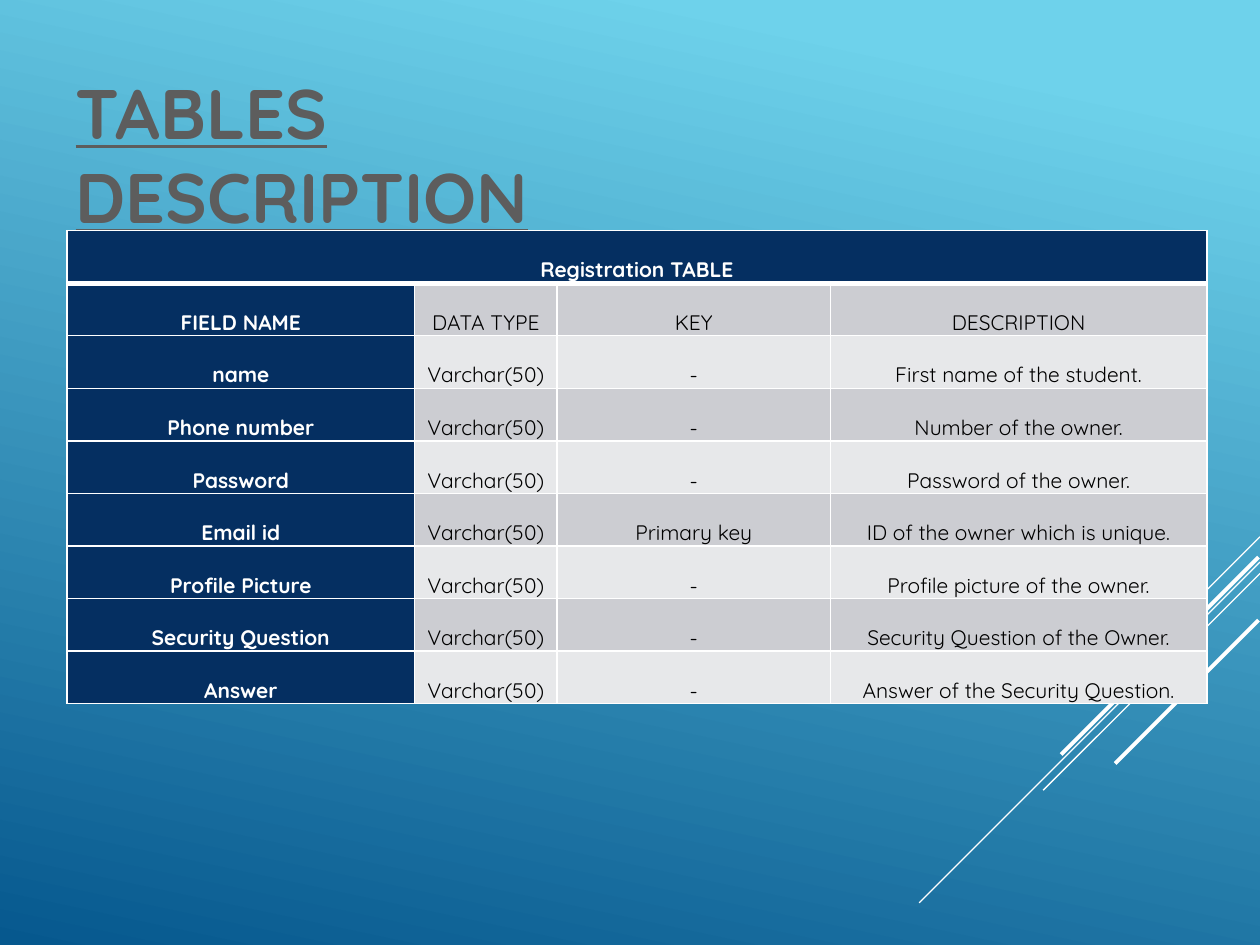
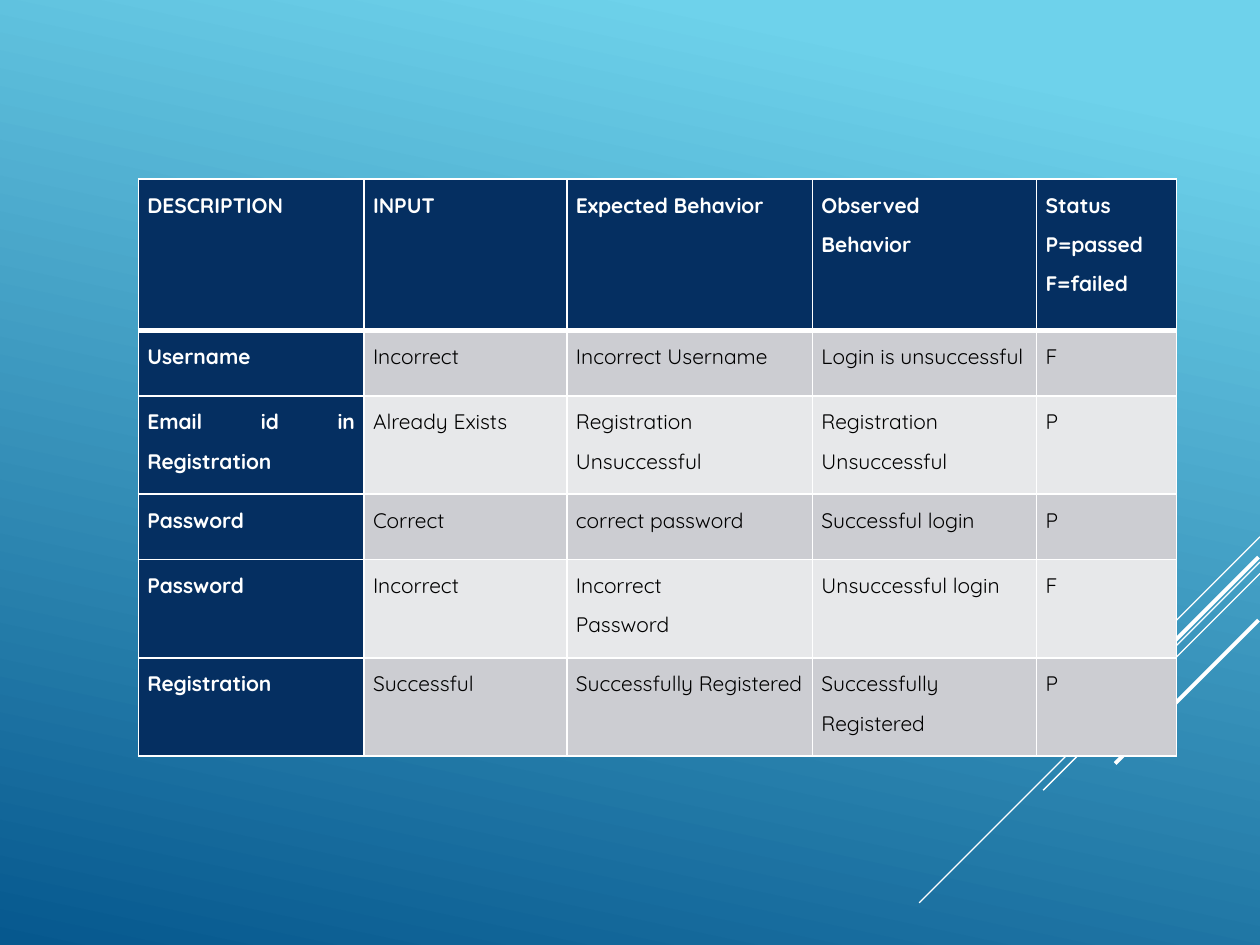
from dataclasses import dataclass

from lxml import etree
from pptx import Presentation
from pptx.dml.color import RGBColor
from pptx.enum.shapes import MSO_CONNECTOR
from pptx.enum.text import MSO_ANCHOR, MSO_AUTO_SIZE, PP_ALIGN
from pptx.oxml.ns import qn
from pptx.presentation import Presentation as Deck
from pptx.slide import Slide
from pptx.table import _Cell
from pptx.util import Cm, Pt

STRAIGHT = MSO_CONNECTOR.STRAIGHT
TOP = MSO_ANCHOR.TOP
NO_AUTOFIT = MSO_AUTO_SIZE.NONE
LEFT, CENTER, JUSTIFY = PP_ALIGN.LEFT, PP_ALIGN.CENTER, PP_ALIGN.JUSTIFY

WHITE = RGBColor(0xFF, 0xFF, 0xFF)
BLACK = RGBColor(0x00, 0x00, 0x00)
NAVY = RGBColor(0x05, 0x2F, 0x61)
BAND_DARK = RGBColor(0xCC, 0xCD, 0xD2)
BAND_LIGHT = RGBColor(0xE7, 0xE8, 0xEA)
TITLE_GRAY = RGBColor(0x5D, 0x5D, 0x5D)
SKY = RGBColor(0x6E, 0xD2, 0xEB)
OCEAN = RGBColor(0x06, 0x58, 0x8E)

FONT = "Quicksand"
TITLE_FONT = {"name": FONT, "size": Pt(40), "bold": True, "underline": True}
CELL_FONT = {"name": FONT, "size": Pt(12)}
THIN, THICK = Pt(1), Pt(3)
TITLE_ONLY, BLANK = 5, 6


@dataclass(frozen=True)
class Ray:
    right: float
    top: float
    run: float
    weight: float


@dataclass(frozen=True)
class TableSpec:
    left: float
    top: float
    cols: list[float]
    rows: list[float]
    margin: float
    align: PP_ALIGN
    spacing: float
    texts: list[list[str]]


RAYS = [
    Ray(25.4, 10.82, 2.11, 0.75),
    Ray(25.4, 11.33, 6.87, 0.75),
    Ray(25.4, 11.56, 4.37, 0.75),
    Ray(25.37, 11.23, 3.98, 2.25),
    Ray(25.37, 12.5, 2.89, 2.25),
]

FIELDS = [
    ("name", "-", "First name of the student."),
    ("Phone number", "-", "Number of the owner."),
    ("Password", "-", "Password of the owner."),
    ("Email id", "Primary key", "ID of the owner which is unique."),
    ("Profile Picture", "-", "Profile picture of the owner."),
    ("Security Question", "-", "Security Question of the Owner."),
    ("Answer", "-", "Answer of the Security Question."),
]

REGISTRATION = TableSpec(
    left=1.35, top=4.65,
    cols=[7.01, 2.87, 5.51, 7.59],
    rows=[1.02] * 9,
    margin=0.15, align=CENTER, spacing=2.0,
    texts=[
        ["Registration TABLE"],
        ["FIELD NAME", "DATA TYPE", "KEY", "DESCRIPTION"],
        *[[name, "Varchar(50)", key, note] for name, key, note in FIELDS],
    ],
)

TEST_CASES = TableSpec(
    left=2.79, top=3.61,
    cols=[4.55, 4.09, 4.95, 4.52, 2.82],
    rows=[3.05, 1.32, 1.98, 1.32, 1.98, 1.98],
    margin=0.18, align=JUSTIFY, spacing=1.5,
    texts=[
        ["DESCRIPTION", "INPUT", "Expected Behavior", "Observed\nBehavior",
         "Status\nP=passed\nF=failed"],
        ["Username", "Incorrect", "Incorrect Username", "Login is unsuccessful", "F"],
        ["Email id in Registration", "Already Exists", "Registration Unsuccessful",
         "Registration Unsuccessful", "P"],
        ["Password", "Correct", "correct password", "Successful login", "P"],
        ["Password", "Incorrect", "Incorrect\nPassword", "Unsuccessful login", "F"],
        ["Registration", "Successful", "Successfully Registered",
         "Successfully Registered", "P"],
    ],
)


def apply(target: object, values: dict) -> None:
    for name, value in values.items():
        setattr(target, name, value)


def paint_background(prs: Deck) -> None:
    fill = prs.slide_master.background.fill
    fill.gradient()
    fill.gradient_angle = 258
    for stop, color, position in zip(fill.gradient_stops, (SKY, OCEAN), (0.1, 1.0)):
        stop.color.rgb = color
        stop.position = position


def add_rays(s: Slide) -> None:
    for ray in RAYS:
        c = s.shapes.add_connector(
            STRAIGHT, Cm(ray.right), Cm(ray.top),
            Cm(ray.right - ray.run), Cm(ray.top + ray.run))
        c.line.color.rgb = WHITE
        c.line.width = Pt(ray.weight)
        etree.SubElement(c._element.spPr, qn("a:effectLst"))


def set_title(s: Slide, text: str) -> None:
    sp = s.shapes.title
    apply(sp, {"left": Cm(1.27), "top": Cm(1.27), "width": Cm(14.38), "height": Cm(1.96)})
    tf = sp.text_frame
    tf.text = text
    apply(tf, {"word_wrap": True, "auto_size": NO_AUTOFIT, "vertical_anchor": TOP})
    p = tf.paragraphs[0]
    p.alignment = LEFT
    r = p.runs[0]
    apply(r.font, TITLE_FONT)
    r.font.color.rgb = TITLE_GRAY


def set_borders(cell: _Cell, row: int) -> None:
    tc_pr = cell._tc.get_or_add_tcPr()
    widths = {"L": THIN, "R": THIN,
              "T": THICK if row == 1 else THIN,
              "B": THICK if row == 0 else THIN}
    for side, width in widths.items():
        ln = etree.SubElement(tc_pr, qn(f"a:ln{side}"), w=str(width))
        fill = etree.SubElement(ln, qn("a:solidFill"))
        etree.SubElement(fill, qn("a:srgbClr"), val=str(WHITE))


def format_cell(cell: _Cell, row: int, col: int, spec: TableSpec) -> None:
    heading = row == 0 or col == 0
    band = BAND_DARK if row % 2 else BAND_LIGHT
    set_borders(cell, row)
    cell.fill.solid()
    cell.fill.fore_color.rgb = NAVY if heading else band
    apply(cell, {"margin_left": Cm(spec.margin), "margin_right": Cm(spec.margin),
                 "margin_top": 0, "margin_bottom": 0})
    for p in cell.text_frame.paragraphs:
        apply(p, {"alignment": spec.align, "line_spacing": spec.spacing})
        for r in p.runs:
            apply(r.font, CELL_FONT)
            r.font.bold = heading
            r.font.color.rgb = WHITE if heading else BLACK


def add_grid(s: Slide, spec: TableSpec) -> None:
    table = s.shapes.add_table(
        len(spec.rows), len(spec.cols), Cm(spec.left), Cm(spec.top),
        Cm(sum(spec.cols)), Cm(sum(spec.rows))).table
    apply(table, {"first_row": False, "horz_banding": False})
    for column, width in zip(table.columns, spec.cols):
        column.width = Cm(width)
    for i, (row, height) in enumerate(zip(table.rows, spec.rows)):
        row.height = Cm(height)
        for cell, text in zip(row.cells, spec.texts[i]):
            cell.text = text
        for j, cell in enumerate(row.cells):
            format_cell(cell, i, j, spec)
        if len(spec.texts[i]) == 1:
            table.cell(i, 0).merge(table.cell(i, len(spec.cols) - 1))


def add_table_slide(prs: Deck, spec: TableSpec, title: str = "") -> None:
    s = prs.slides.add_slide(prs.slide_layouts[TITLE_ONLY if title else BLANK])
    add_rays(s)
    if title:
        set_title(s, title)
    add_grid(s, spec)


def main() -> None:
    prs = Presentation()
    apply(prs, {"slide_width": Cm(25.4), "slide_height": Cm(19.05)})
    paint_background(prs)
    add_table_slide(prs, REGISTRATION, "TABLES DESCRIPTION")
    add_table_slide(prs, TEST_CASES)
    prs.save("out.pptx")


if __name__ == "__main__":
    main()
